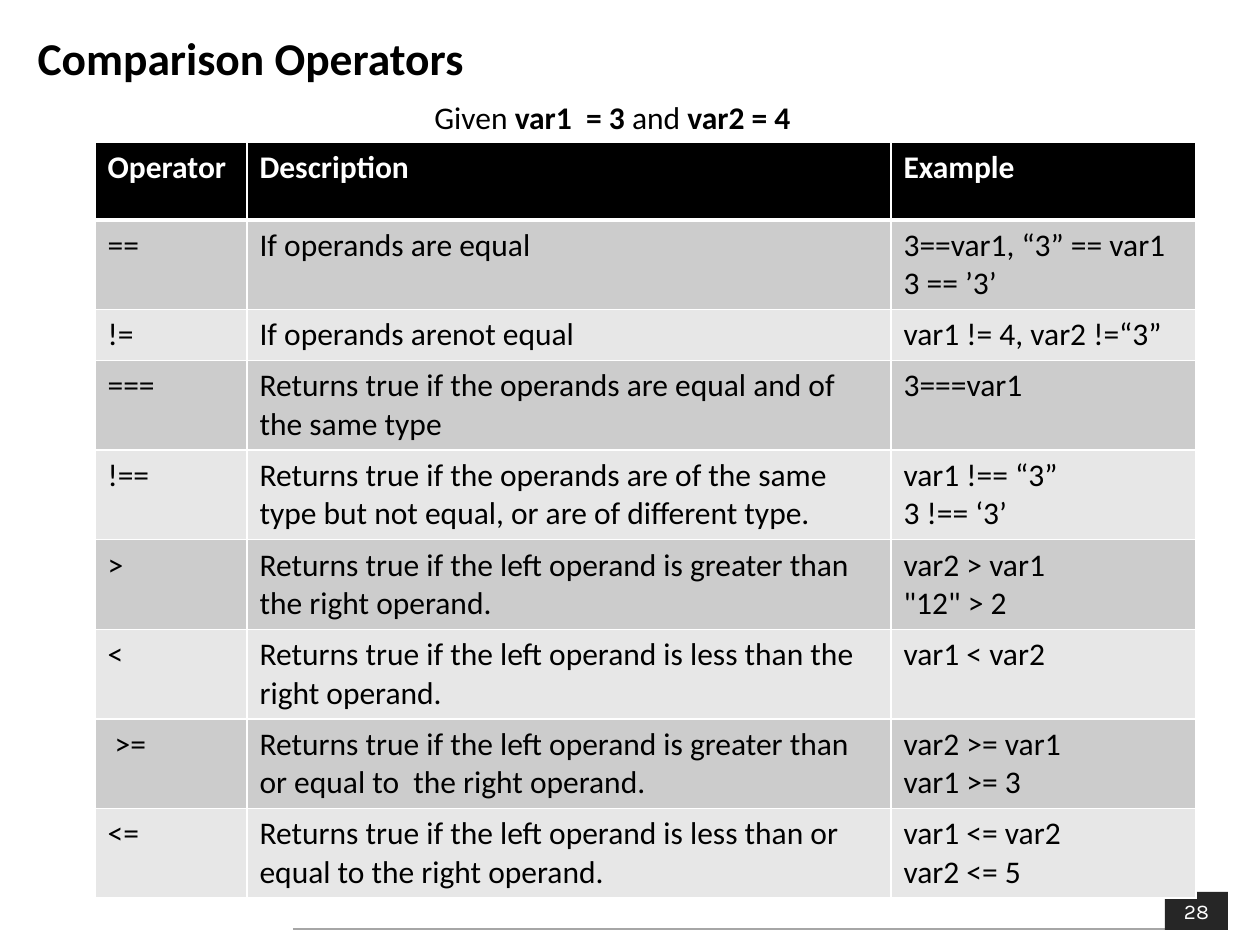
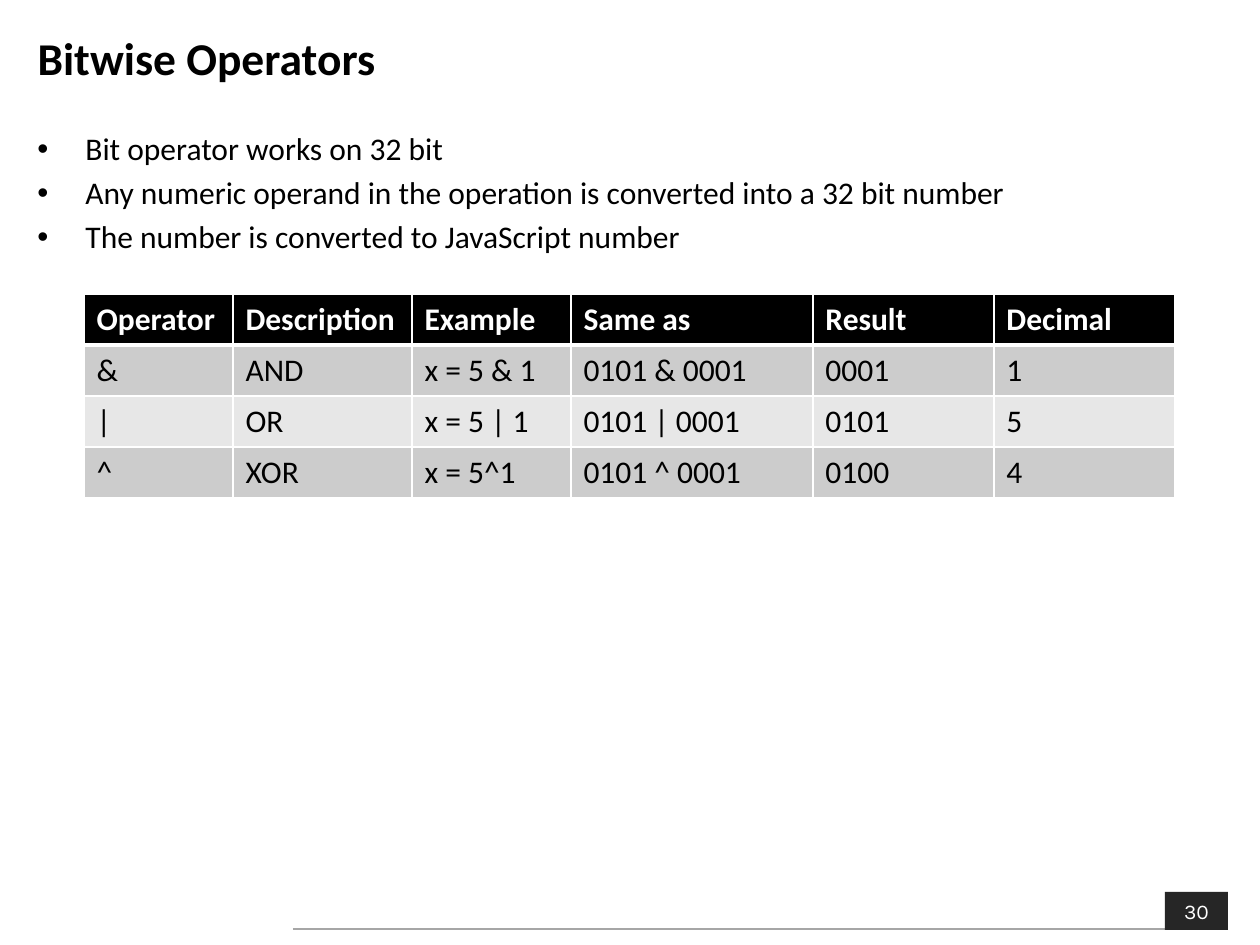
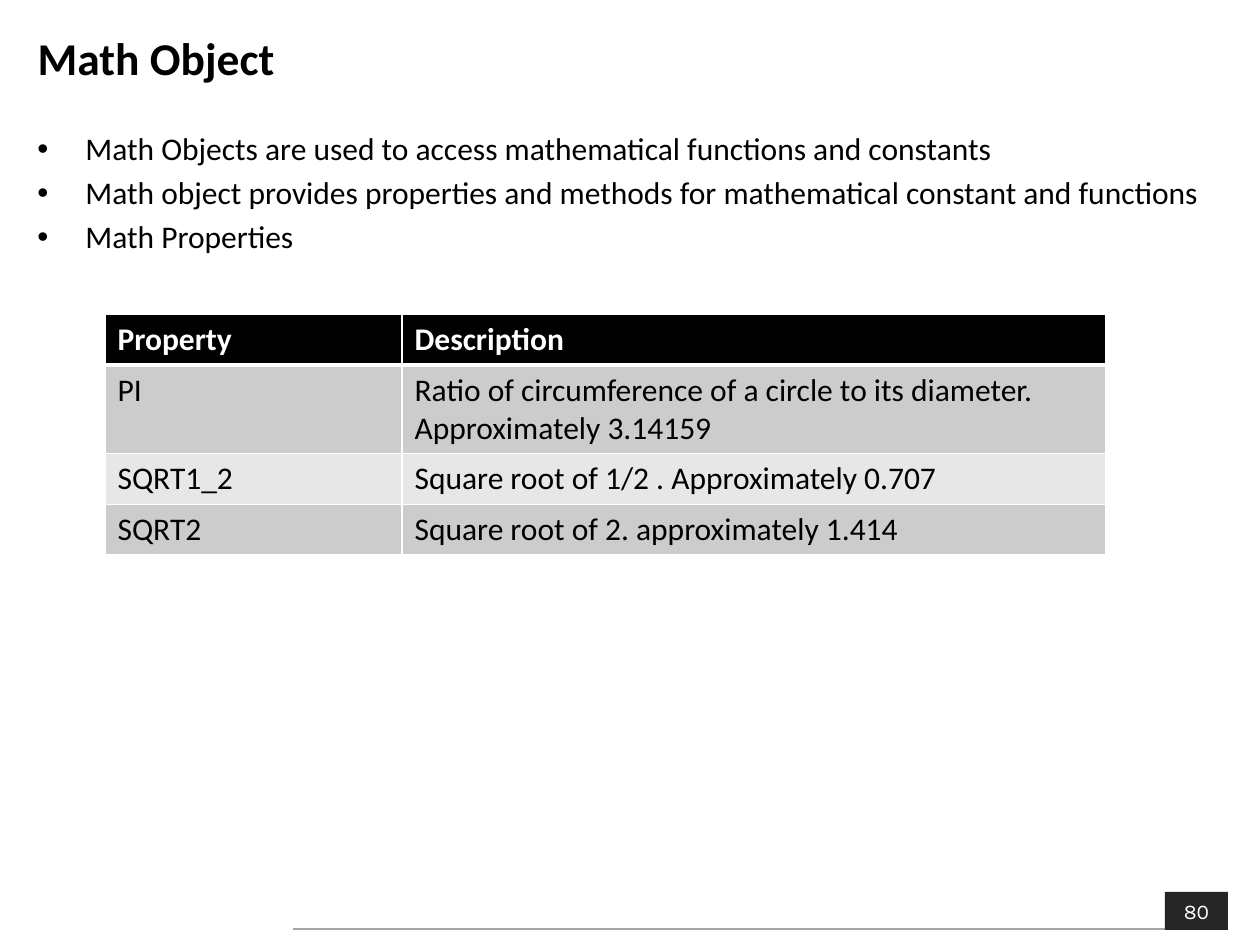
from pptx import Presentation
from pptx import util as u
from pptx.dml.color import RGBColor
from pptx.enum import shapes, text
from pptx.oxml.ns import qn
from lxml import etree

PX = 914400 / 126
C = {"ink": "000000", "paper": "FFFFFF", "badge": "262626", "rule": "A6A6A6",
     "odd": "CCCCCC", "even": "E7E7E7"}
BODY = {"name": "Calibri", "size": u.Pt(18), "bold": False}
HEAD = {**BODY, "bold": True}
TITLE = {**HEAD, "size": u.Pt(26)}
NUMBER = {"name": "Karla", "size": u.Pt(12), "bold": False}

COMPARISONS = [
    ["Operator", "Description", "Example"],
    ["==", "If operands are equal", "3==var1, “3” == var1\n3 == ’3’"],
    ["!=", "If operands arenot equal", "var1 != 4, var2 !=“3”"],
    ["===", "Returns true if the operands are equal and of the same type", "3===var1"],
    ["!==", "Returns true if the operands are of the same type but not equal, "
     "or are of different type.", "var1 !== “3”\n3 !== ‘3’"],
    [">", "Returns true if the left operand is greater than the right operand.",
     "var2 > var1\n\"12\" > 2"],
    ["<", "Returns true if the left operand is less than the right operand.",
     "var1 < var2"],
    [" >=", "Returns true if the left operand is greater than or equal to  the right operand.",
     "var2 >= var1\nvar1 >= 3"],
    ["<=", "Returns true if the left operand is less than or equal to the right operand.",
     "var1 <= var2\nvar2 <= 5"],
]
BITWISE = [
    ["Operator", "Description", "Example", "Same as", "Result", "Decimal"],
    ["&", "AND", "x = 5 & 1", "0101 & 0001", "0001", "1"],
    ["|", "OR", "x = 5 | 1", "0101 | 0001", "0101", "5"],
    ["^", "XOR", "x = 5^1", "0101 ^ 0001", "0100", "4"],
]
MATH = [
    ["Property", "Description"],
    ["PI", "Ratio of circumference of a circle to its diameter. Approximately 3.14159"],
    ["SQRT1_2", "Square root of 1/2 . Approximately 0.707"],
    ["SQRT2", "Square root of 2. approximately 1.414"],
]


def px(*lengths):
    return [u.Emu(round(n * PX)) for n in lengths]


def rgb(key):
    return RGBColor.from_string(C[key])


def add_run(p, words, fmt, color="ink"):
    r = p.add_run()
    r.text = words
    for name, value in fmt.items():
        setattr(r.font, name, value)
    r.font.color.rgb = rgb(color)


def add_lines(tf, lines, fmt, color="ink"):
    for i, line in enumerate(lines):
        p = tf.add_paragraph() if i else tf.paragraphs[0]
        add_run(p, line, fmt, color)


def add_footer(s, number):
    rule = s.shapes.add_connector(shapes.MSO_CONNECTOR.STRAIGHT, *px(293, 929, 1165, 929))
    rule.line.color.rgb = rgb("rule")
    rule.line.width = u.Pt(0.75)
    etree.SubElement(rule._element.spPr, qn("a:effectLst"))
    badge = s.shapes.add_shape(shapes.MSO_SHAPE.RECTANGLE, *px(1165, 892, 63, 38))
    badge.shadow.inherit = False
    badge.fill.solid()
    badge.fill.fore_color.rgb = rgb("badge")
    badge.line.fill.background()
    tf = badge.text_frame
    tf.vertical_anchor = text.MSO_ANCHOR.TOP
    add_lines(tf, [str(number)], NUMBER, "paper")
    tf.paragraphs[0].alignment = text.PP_ALIGN.CENTER


def add_slide(prs, title, number):
    s = prs.slides.add_slide(prs.slide_layouts[5])
    add_footer(s, number)
    sp = s.shapes.title
    sp.left, sp.top, sp.width, sp.height = px(25, 19, 1216, 77)
    tf = sp.text_frame
    tf.vertical_anchor = text.MSO_ANCHOR.MIDDLE
    tf.paragraphs[0].alignment = text.PP_ALIGN.LEFT
    add_lines(tf, [title], TITLE)
    return s


def add_box(s, *place):
    tf = s.shapes.add_textbox(*px(*place)).text_frame
    tf.word_wrap = True
    return tf


def add_bullets(s, lines):
    tf = add_box(s, 25, 123, 1216, 726)
    add_lines(tf, lines, BODY)
    indent = px(48)[0]
    for i, p in enumerate(tf.paragraphs):
        pPr = p._p.get_or_add_pPr()
        pPr.set("marL", str(indent))
        pPr.set("indent", str(-indent))
        etree.SubElement(pPr, qn("a:buFont"), typeface="Arial")
        etree.SubElement(pPr, qn("a:buChar"), char="•")
        p.space_before = u.Pt(3.6 if i else 0)


def add_borders(cell, row):
    widths = {"L": 1, "R": 1, "T": 3 if row == 1 else 1, "B": 1 if row else 3}
    tcPr = cell._tc.get_or_add_tcPr()
    for i, (side, width) in enumerate(widths.items()):
        ln = etree.Element(qn(f"a:ln{side}"), w=str(u.Pt(width)))
        fill = etree.SubElement(ln, qn("a:solidFill"))
        etree.SubElement(fill, qn("a:srgbClr"), val=C["paper"])
        tcPr.insert(i, ln)


def add_grid(s, left, top, widths, heights, rows):
    place = px(left, top, sum(widths), sum(heights))
    table = s.shapes.add_table(len(rows), len(widths), *place).table
    table.horz_banding = False
    for column, width in zip(table.columns, px(*widths)):
        column.width = width
    for row, height in zip(table.rows, px(*heights)):
        row.height = height
    for i, values in enumerate(rows):
        fill = ("odd" if i % 2 else "even") if i else "ink"
        fmt, color = (BODY, "ink") if i else (HEAD, "paper")
        for j, value in enumerate(values):
            cell = table.cell(i, j)
            cell.fill.solid()
            cell.fill.fore_color.rgb = rgb(fill)
            add_lines(cell.text_frame, value.split("\n"), fmt, color)
            add_borders(cell, i)


def main():
    prs = Presentation()
    prs.slide_width, prs.slide_height = px(1260, 945)

    s = add_slide(prs, "Comparison Operators", 28)
    add_grid(s, 95, 142, [152, 644, 305], [78, 78, 44, 78, 83] + [78] * 4, COMPARISONS)
    p = add_box(s, 422, 92, 423, 50).paragraphs[0]
    for words, fmt in [("Given ", BODY), ("var1  = 3 ", HEAD), ("and ", BODY), ("var2 = 4", HEAD)]:
        add_run(p, words, fmt)

    s = add_slide(prs, "Bitwise Operators", 30)
    add_bullets(s, ["Bit operator works on 32 bit",
                    "Any numeric operand in the operation is converted into a 32 bit number",
                    "The number is converted to JavaScript number"])
    add_grid(s, 84, 294, [149, 179, 159, 242, 181, 181], [51] * 4, BITWISE)

    s = add_slide(prs, "Math Object", 80)
    add_bullets(s, ["Math Objects are used to access mathematical functions and constants",
                    "Math object provides properties and methods for mathematical constant and functions",
                    "Math Properties"])
    add_grid(s, 105, 314, [297, 704], [51] * 4, MATH)

    prs.save("out.pptx")


if __name__ == "__main__":
    main()
